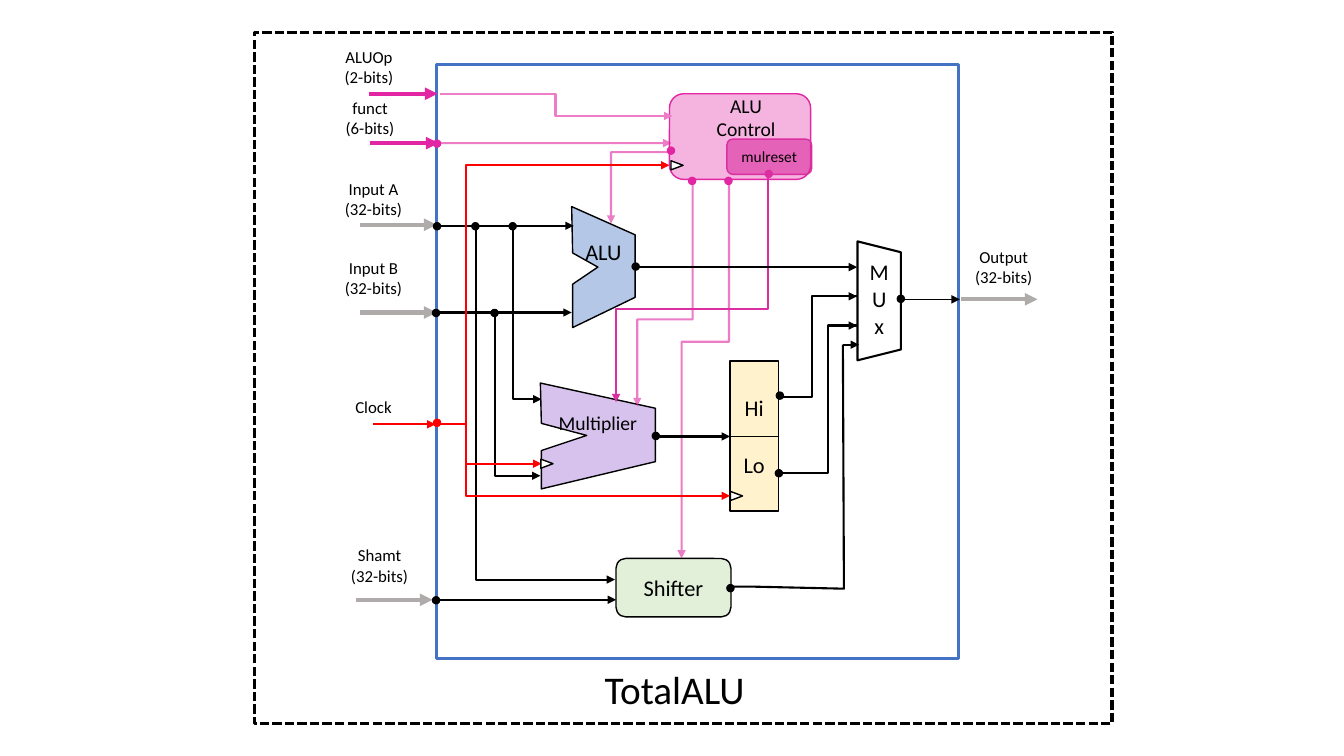
"""Build a one-slide block diagram of the TotalALU datapath."""
from dataclasses import dataclass
from typing import Optional

from lxml.etree import SubElement
from pptx import Presentation
from pptx.dml.color import RGBColor
from pptx.enum.dml import MSO_LINE
from pptx.enum.shapes import MSO_CONNECTOR, MSO_SHAPE
from pptx.enum.text import MSO_ANCHOR, PP_ALIGN
from pptx.oxml.ns import qn
from pptx.util import Emu, Pt

PX = 9144
BLACK, WHITE, RED, GRAY = "000000", "FFFFFF", "FF0000", "AFABAB"
PINK, MAGENTA, ROSE, BLUE = "E226A3", "DA2EA1", "EE7DC8", "4472C4"


@dataclass(frozen=True)
class Block:
    kind: MSO_SHAPE
    at: tuple
    fill: str = WHITE
    line: str = BLACK
    width: float = 1
    alpha: int = 100
    rotation: int = 0
    text: str = ""
    size: int = 16
    gap: int = 0
    dash: Optional[MSO_LINE] = None


@dataclass(frozen=True)
class Outline:
    points: tuple
    fill: str = ""
    width: float = 1.5
    alpha: int = 100
    text: str = ""
    size: int = 16
    lift: int = 0


@dataclass(frozen=True)
class Wire:
    start: tuple
    end: tuple
    color: str = BLACK
    width: float = 1.5
    alpha: int = 100
    bend: Optional[int] = None
    down: bool = False
    arrow: bool = True


@dataclass(frozen=True)
class Label:
    text: str
    at: tuple
    size: int = 12


RECT, ROUND = MSO_SHAPE.RECTANGLE, MSO_SHAPE.ROUNDED_RECTANGLE

BLOCKS = [
    Block(RECT, (252, 32, 851, 686), width=2.25, dash=MSO_LINE.SQUARE_DOT),
    Block(RECT, (433, 64, 518, 589), line=BLUE, width=2.25),
    Block(ROUND, (664, 93, 140, 85), PINK, PINK, alpha=34),
    Block(ROUND, (611, 554, 114, 58), "E2F0D9", text="Shifter"),
    Block(RECT, (724, 358, 48, 149), "FFF2CC", text="Hi\nLo", gap=22),
    Block(MSO_SHAPE.TRAPEZOID, (813, 277, 118, 43), width=1.5, rotation=90),
    Block(ROUND, (721, 138, 84, 35), MAGENTA, MAGENTA, alpha=60, text="mulreset", size=11),
]
OUTLINES = [
    Outline(((567, 205), (630, 233), (630, 295), (568, 325), (568, 282), (593, 265), (568, 251)),
            "B4C7E7", 1, text="ALU", lift=30),
    Outline(((536, 380), (650, 405), (650, 458), (537, 485), (537, 447), (582, 432), (537, 420)),
            "8143C5", 1, 32, "Multiplier", 14, 27),
    Outline(((772, 469), (821, 469), (821, 323), (850, 323))),
    Outline(((773, 394), (805, 394), (805, 294), (850, 294))),
    Outline(((725, 582), (748, 582), (837, 584), (836, 342))),
]
LABELS = [
    Label("M\nU\nx", (848, 251, 48, 91), 16),
    Label("ALUOp\n(2-bits)", (308, 41, 116, 50)),
    Label("funct\n(6-bits)", (309, 92, 116, 50)),
    Label("Input A\n(32-bits)", (332, 172, 77, 50)),
    Label("Input B\n(32-bits)", (332, 251, 77, 50)),
    Label("Clock", (332, 389, 77, 30)),
    Label("Shamt\n(32-bits)", (338, 536, 77, 50)),
    Label("Output\n(32-bits)", (957, 240, 77, 50)),
    Label("ALU\nControl", (698, 88, 84, 88), 14),
    Label("TotalALU", (572, 655, 194, 57), 28),
]
WIRES = [
    Wire((724, 433), (772, 433), width=0.5, arrow=False),
    Wire((367, 142), (666, 142), PINK, alpha=60),
    Wire((367, 142), (435, 142), PINK, 3),
    Wire((366, 93), (434, 93), PINK, 3),
    Wire((436, 93), (667, 115), ROSE, bend=551),
    Wire((668, 151), (606, 222), PINK, alpha=60, bend=151, down=True),
    Wire((687, 177), (632, 403), PINK, alpha=60, bend=317, down=True),
    Wire((723, 177), (676, 554), PINK, alpha=60, bend=339, down=True),
    Wire((762, 175), (611, 399), MAGENTA, bend=307, down=True),
    Wire((357, 223), (433, 223), GRAY, 3),
    Wire((357, 310), (433, 310), GRAY, 3),
    Wire((353, 595), (429, 595), GRAY, 3),
    Wire((953, 297), (1029, 297), GRAY, 3),
    Wire((895, 297), (952, 297), width=1),
    Wire((433, 224), (569, 224)),
    Wire((431, 310), (567, 310)),
    Wire((436, 595), (611, 595)),
    Wire((630, 265), (850, 265)),
    Wire((650, 433), (724, 433)),
    Wire((821, 323), (850, 323)),
    Wire((805, 294), (850, 294)),
    Wire((836, 342), (852, 342)),
    Wire((472, 228), (610, 575), bend=575, down=True),
    Wire((509, 225), (537, 396), bend=396, down=True),
    Wire((491, 312), (536, 472), bend=472, down=True),
    Wire((370, 421), (664, 164), RED, bend=462),
    Wire((462, 421), (724, 492), RED, bend=462),
    Wire((462, 460), (537, 460), RED),
    Wire((370, 421), (432, 421), RED),
]
DOTS = {
    BLACK: [(430, 221), (429, 307), (647, 429), (627, 261), (770, 389), (769, 466), (890, 293),
            (721, 580), (468, 221), (505, 221), (429, 592), (487, 307)],
    PINK: [(683, 176), (719, 176), (430, 139), (662, 146)],
    MAGENTA: [(759, 169)],
    RED: [(430, 416)],
}
CLOCK_PINS = [(538, 454), (667, 158), (726, 486)]


def rgb(color: str) -> RGBColor:
    return RGBColor.from_string(color)


def set_alpha(sp, where: str, alpha: int) -> None:
    if alpha < 100:
        clr = sp._element.spPr.find(f"{where}/{qn('a:srgbClr')}")
        SubElement(clr, qn("a:alpha")).set("val", str(alpha * 1000))


def write(sp, text: str, *, size: int, gap: int = 0, lift: int = 0,
          anchor: MSO_ANCHOR = MSO_ANCHOR.MIDDLE) -> None:
    tf = sp.text_frame
    tf.word_wrap = True
    tf.vertical_anchor = anchor
    tf.margin_left = tf.margin_right = 0
    tf.margin_top, tf.margin_bottom = Emu(5 * PX), Emu((5 + lift) * PX)
    for i, line in enumerate(text.split("\n")):
        p = tf.add_paragraph() if i else tf.paragraphs[0]
        p.alignment = PP_ALIGN.CENTER
        p.space_before = Pt(gap if i else 0)
        r = p.add_run()
        r.text = line
        r.font.name, r.font.size = "Calibri", Pt(size)
        r.font.color.rgb = rgb(BLACK)


def paint(sp, fill: str, line: str, width: float, alpha: int = 100) -> None:
    sp.shadow.inherit = False
    if fill:
        sp.fill.solid()
        sp.fill.fore_color.rgb = rgb(fill)
        set_alpha(sp, qn("a:solidFill"), alpha)
    else:
        sp.fill.background()
    sp.line.color.rgb = rgb(line)
    sp.line.width = Pt(width)


def add_block(s, b: Block) -> None:
    sp = s.shapes.add_shape(b.kind, *(Emu(v * PX) for v in b.at))
    paint(sp, b.fill, b.line, b.width, b.alpha)
    sp.rotation = b.rotation
    if b.dash:
        sp.line.dash_style = b.dash
    if b.text:
        write(sp, b.text, size=b.size, gap=b.gap)


def add_outline(s, o: Outline) -> None:
    fb = s.shapes.build_freeform(*o.points[0], scale=PX)
    fb.add_line_segments(o.points[1:], close=bool(o.fill))
    sp = fb.convert_to_shape()
    paint(sp, o.fill, BLACK, o.width, o.alpha)
    if o.text:
        write(sp, o.text, size=o.size, lift=o.lift)


def add_wire(s, w: Wire) -> None:
    (x1, y1), (x2, y2) = w.start, w.end
    dx, dy = x2 - x1, y2 - y1
    ends = (x1, y1, x2, y2)
    if w.down:
        cx, cy = (x1 + x2) / 2, (y1 + y2) / 2
        ends = (cx - dy / 2, cy + dx / 2, cx + dy / 2, cy - dx / 2)
    kind = MSO_CONNECTOR.STRAIGHT if w.bend is None else MSO_CONNECTOR.ELBOW
    cn = s.shapes.add_connector(kind, *(Emu(int(v * PX)) for v in ends))
    spPr = cn._element.spPr
    if w.down:
        spPr.find(qn("a:xfrm")).set("rot", "5400000")
    if w.bend is not None:
        share = (w.bend - y1) / dy if w.down else (w.bend - x1) / dx
        gd = SubElement(spPr.find(f"{qn('a:prstGeom')}/{qn('a:avLst')}"), qn("a:gd"))
        gd.set("name", "adj1")
        gd.set("fmla", f"val {round(share * 100000)}")
    cn.line.color.rgb = rgb(w.color)
    cn.line.width = Pt(w.width)
    set_alpha(cn, f"{qn('a:ln')}/{qn('a:solidFill')}", w.alpha)
    if w.arrow:
        SubElement(spPr.find(qn("a:ln")), qn("a:tailEnd")).set("type", "triangle")
    SubElement(spPr, qn("a:effectLst"))


def add_label(s, lb: Label) -> None:
    sp = s.shapes.add_textbox(*(Emu(v * PX) for v in lb.at))
    write(sp, lb.text, size=lb.size, anchor=MSO_ANCHOR.TOP)


def main() -> None:
    prs = Presentation()
    prs.slide_width, prs.slide_height = Emu(1333 * PX), Emu(750 * PX)
    s = prs.slides.add_slide(prs.slide_layouts[6])
    dots = [Block(MSO_SHAPE.FLOWCHART_CONNECTOR, (*at, 7, 7), color, color)
            for color, places in DOTS.items() for at in places]
    pins = [Block(MSO_SHAPE.ISOSCELES_TRIANGLE, (*at, 9, 12), rotation=90) for at in CLOCK_PINS]
    for draw, items in ((add_block, BLOCKS), (add_outline, OUTLINES), (add_wire, WIRES),
                        (add_block, dots + pins), (add_label, LABELS)):
        for item in items:
            draw(s, item)
    prs.save("out.pptx")


if __name__ == "__main__":
    main()
